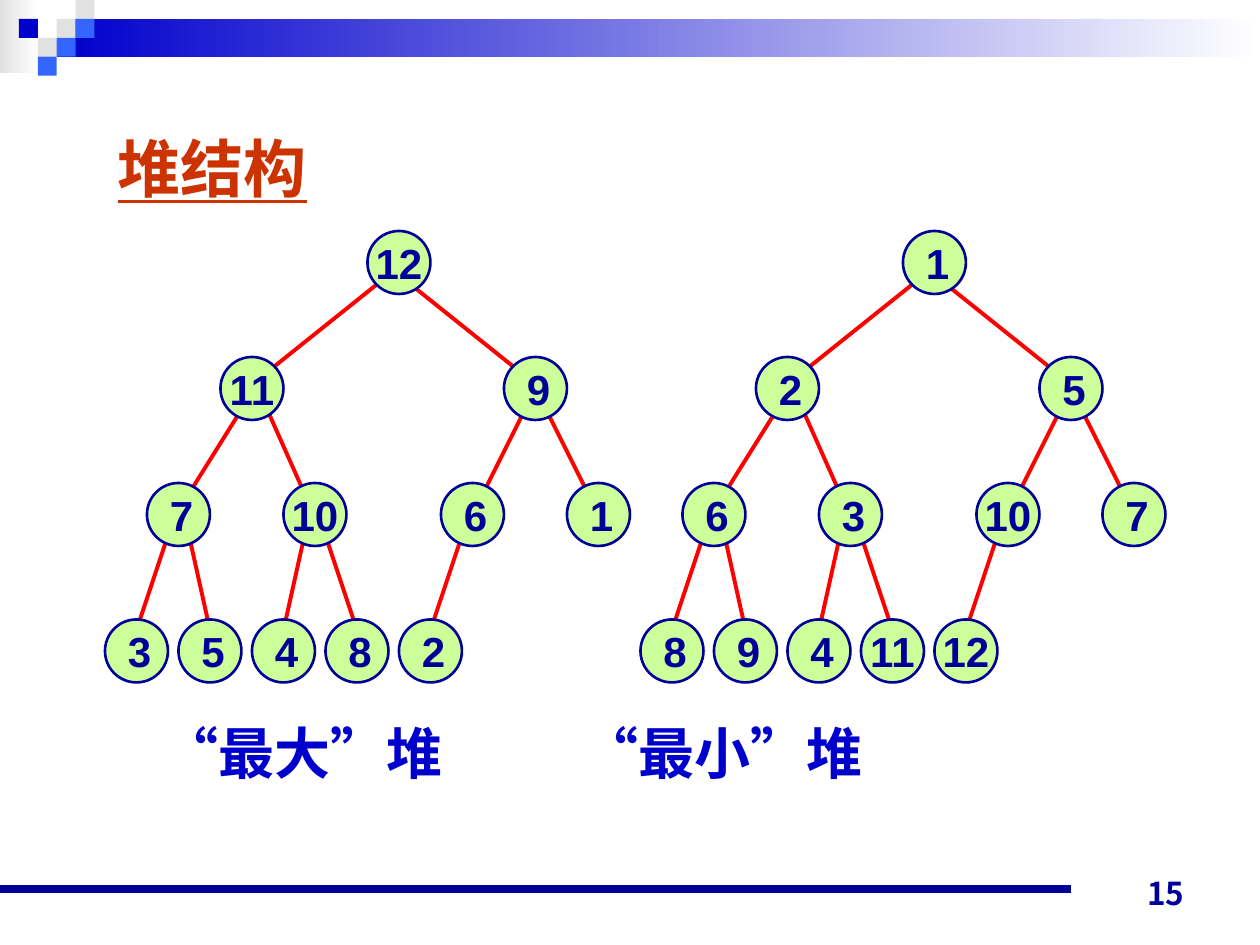
import pptx
import pptx.dml.color
import pptx.enum.shapes
import pptx.enum.text
import pptx.oxml.ns
import pptx.util
from lxml import etree

PX = 7620  # EMU in one px, 120 px to the inch
SHAPE = pptx.enum.shapes.MSO_SHAPE
ALIGN = pptx.enum.text.PP_ALIGN
ANCHOR = pptx.enum.text.MSO_ANCHOR
NAVY, BLUE, SKY, GREY, WHITE = "000099", "0000CC", "3366FF", "E1E1E1", "FFFFFF"
LATIN, CJK = "Arial", "Noto Sans CJK SC"

# Heap nodes in level order: left edge of each circle, top of each level
NODE_X = [250, 110, 380, 40, 170, 320, 440, 0, 70, 140, 210, 280]
LEVEL_Y = [0, 120, 240, 370]
NODE = 60
EDGE_START = {1: (-20, 50), 4: (10, 40)}  # edges leaving the parent off the usual point
EDGE_END = [0, 20, 10, 0]  # shift towards the parent on each level


def px(*values):
    return [pptx.util.Emu(round(v * PX)) for v in values]


def rgb(code):
    return pptx.dml.color.RGBColor.from_string(code)


def set_attrs(obj, **values):
    for name, value in values.items():
        setattr(obj, name, value)


def set_text(sp, text, size, color, font=LATIN, align=ALIGN.LEFT, anchor=ANCHOR.MIDDLE,
             margins=(12, 6, 12, 6), wrap=True, underline=False):
    tf = sp.text_frame
    left, top, right, bottom = px(*margins)
    set_attrs(tf, word_wrap=wrap, auto_size=pptx.enum.text.MSO_AUTO_SIZE.NONE,
              vertical_anchor=anchor, margin_left=left, margin_top=top,
              margin_right=right, margin_bottom=bottom)
    p = tf.paragraphs[0]
    p.alignment = align
    r = p.add_run()
    r.text = text
    set_attrs(r.font, size=pptx.util.Pt(size), bold=True, underline=underline, name=font)
    r.font.color.rgb = rgb(color)
    east = CJK if font == LATIN else font
    r.font._element.find(pptx.oxml.ns.qn("a:latin")).addnext(
        etree.Element(pptx.oxml.ns.qn("a:ea"), typeface=east))
    return p


def add_block(shapes, kind, box, fill, fade=None, line=None):
    """Add a filled shape; fade is the colour its gradient runs to."""
    sp = shapes.add_shape(kind, *px(*box))
    sp.shadow.inherit = False
    if fade:
        sp.fill.gradient()
        sp.fill.gradient_angle = 0
        for stop, color in zip(sp.fill.gradient_stops, (fill, fade)):
            stop.color.rgb = rgb(color)
    else:
        sp.fill.solid()
        sp.fill.fore_color.rgb = rgb(fill)
    if line:
        sp.line.color.rgb = rgb(line)
        sp.line.width = pptx.util.Pt(1.5)
    else:
        sp.line.fill.background()
    return sp


def add_line(shapes, start, end, color, width):
    cn = shapes.add_connector(pptx.enum.shapes.MSO_CONNECTOR.STRAIGHT, *px(*start, *end))
    cn.line.color.rgb = rgb(color)
    cn.line.width = pptx.util.Pt(width)
    etree.SubElement(cn._element.spPr, pptx.oxml.ns.qn("a:effectLst"))


def add_header(shapes, x, y, width):
    cell = 18
    add_block(shapes, SHAPE.RECTANGLE, (x, y, 37, 70), GREY, WHITE)
    add_block(shapes, SHAPE.RECTANGLE, (x + 3 * cell, y + cell, width - 3 * cell, 2 * cell),
              BLUE, WHITE)
    squares = [(3, 1, GREY), (4, 0, GREY), (4, 1, SKY), (2, 2, GREY),
               (1, 1, BLUE), (3, 2, SKY), (2, 3, SKY)]
    for col, row, color in squares:
        add_block(shapes, SHAPE.RECTANGLE, (x + col * cell, y + row * cell, cell, cell), color)


def add_footer(shapes, x, y, number):
    add_line(shapes, (x, y + 33), (x + 1020, y + 33), NAVY, 4.5)
    box = shapes.add_textbox(*px(x + 860, y, 280, 60))
    set_text(box, number, 18, NAVY, "Noto Sans CJK JP", ALIGN.RIGHT, ANCHOR.BOTTOM)


def add_heap(slide, x, y, values):
    """Draw a binary heap given in level order, edges below the nodes."""
    shapes = slide.shapes.add_group_shape().shapes
    levels = [(i + 1).bit_length() - 1 for i in range(len(values))]
    spots = [(x + NODE_X[i], y + LEVEL_Y[level]) for i, level in enumerate(levels)]
    for i in range(1, len(values)):
        side = -1 if i % 2 else 1
        parent_x, parent_y = spots[(i - 1) // 2]
        child_x, child_y = spots[i]
        dx, dy = EDGE_START.get(i, (10 * side, 50))
        add_line(shapes, (parent_x + NODE / 2 + dx, parent_y + dy),
                 (child_x + NODE / 2 - side * EDGE_END[levels[i]], child_y + 10),
                 "FF0000", 2.25)
    for value, spot in zip(values, spots):
        sp = add_block(shapes, SHAPE.OVAL, (*spot, NODE, NODE), "CCFF99", line=NAVY)
        indent = 6 if value < 10 else 0
        set_text(sp, str(value), 24, NAVY, align=ALIGN.CENTER,
                 margins=(indent, 0, 0, 0), wrap=False)


def add_captions(shapes, x, y, captions, gap):
    """Set the captions on one line, gap px apart by a tab stop."""
    box = shapes.add_textbox(*px(x, y, 890, 88))
    p = set_text(box, "\t".join(captions), 32, BLUE, CJK, anchor=ANCHOR.TOP,
                 margins=(29, 14, 14, 7))
    tabs = etree.SubElement(p._p.get_or_add_pPr(), pptx.oxml.ns.qn("a:tabLst"))
    etree.SubElement(tabs, pptx.oxml.ns.qn("a:tab"), pos=str(gap * PX), algn="l")


def add_title(slide, box, text):
    title = slide.shapes.title
    set_attrs(title, **dict(zip(("left", "top", "width", "height"), px(*box))))
    set_text(title, text, 36, "CC3300", underline=True)


def main():
    prs = pptx.Presentation()
    prs.slide_width, prs.slide_height = px(1200, 900)
    s = prs.slides.add_slide(prs.slide_layouts[5])
    add_header(s.shapes, 0, 0, 1200)
    add_footer(s.shapes, 0, 814, "15")
    add_title(s, (100, 109, 331, 100), "堆结构")
    add_captions(s.shapes, 126, 670, ["“最大”堆", "“最小”堆"], 400)
    add_heap(s, 100, 220, [12, 11, 9, 7, 10, 6, 1, 3, 5, 4, 8, 2])
    add_heap(s, 610, 220, [1, 2, 5, 6, 3, 10, 7, 8, 9, 4, 11, 12])
    prs.save("out.pptx")


if __name__ == "__main__":
    main()
